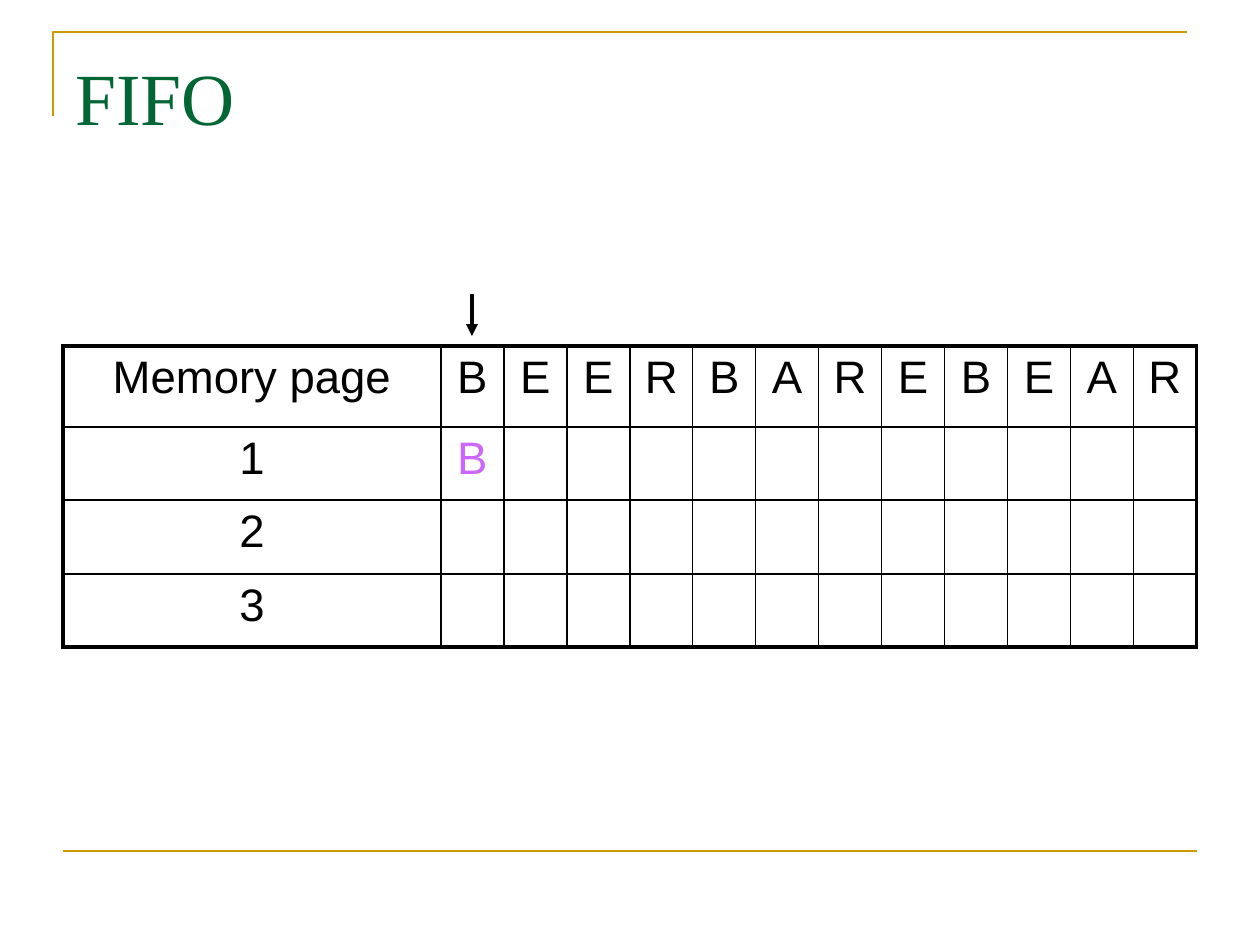
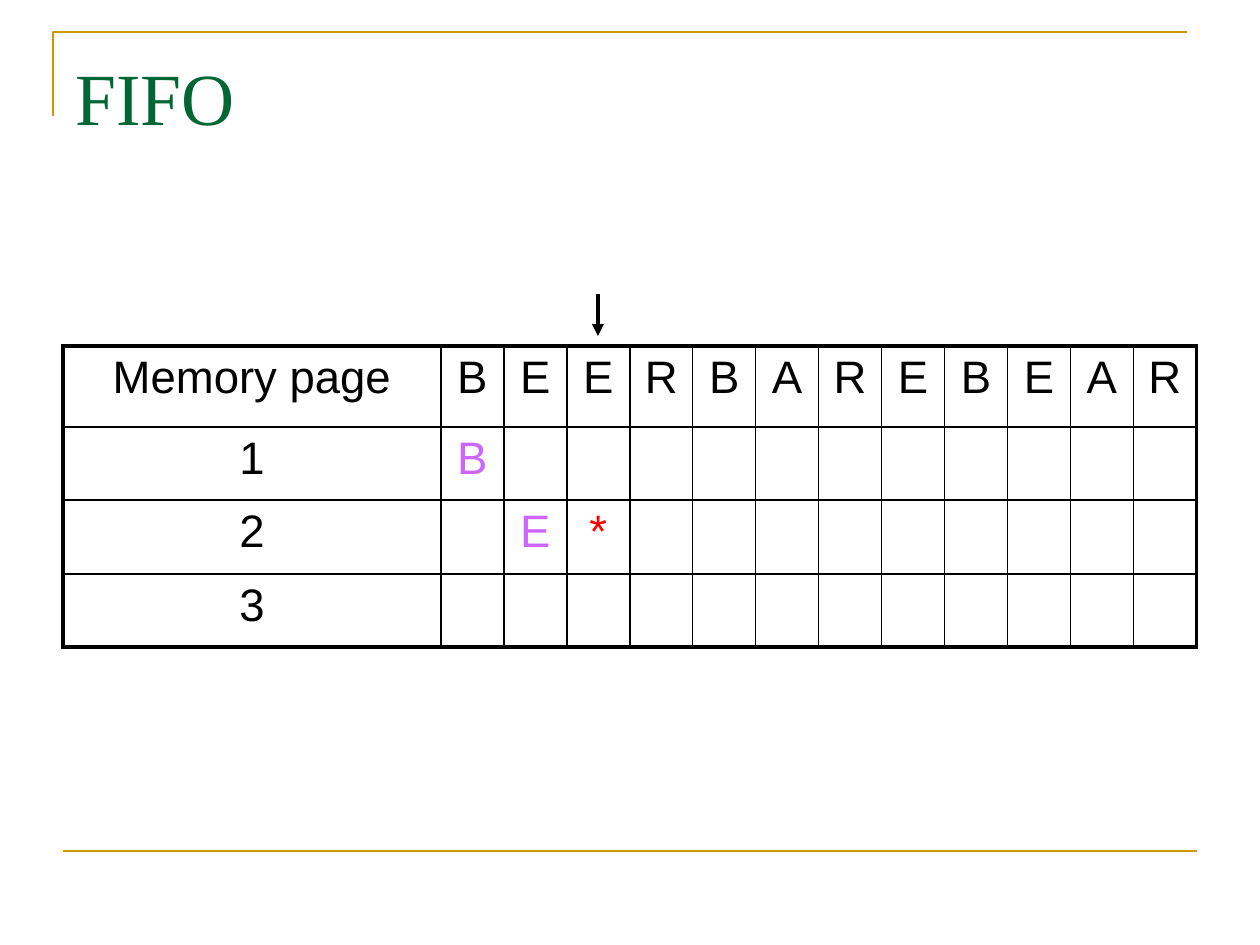
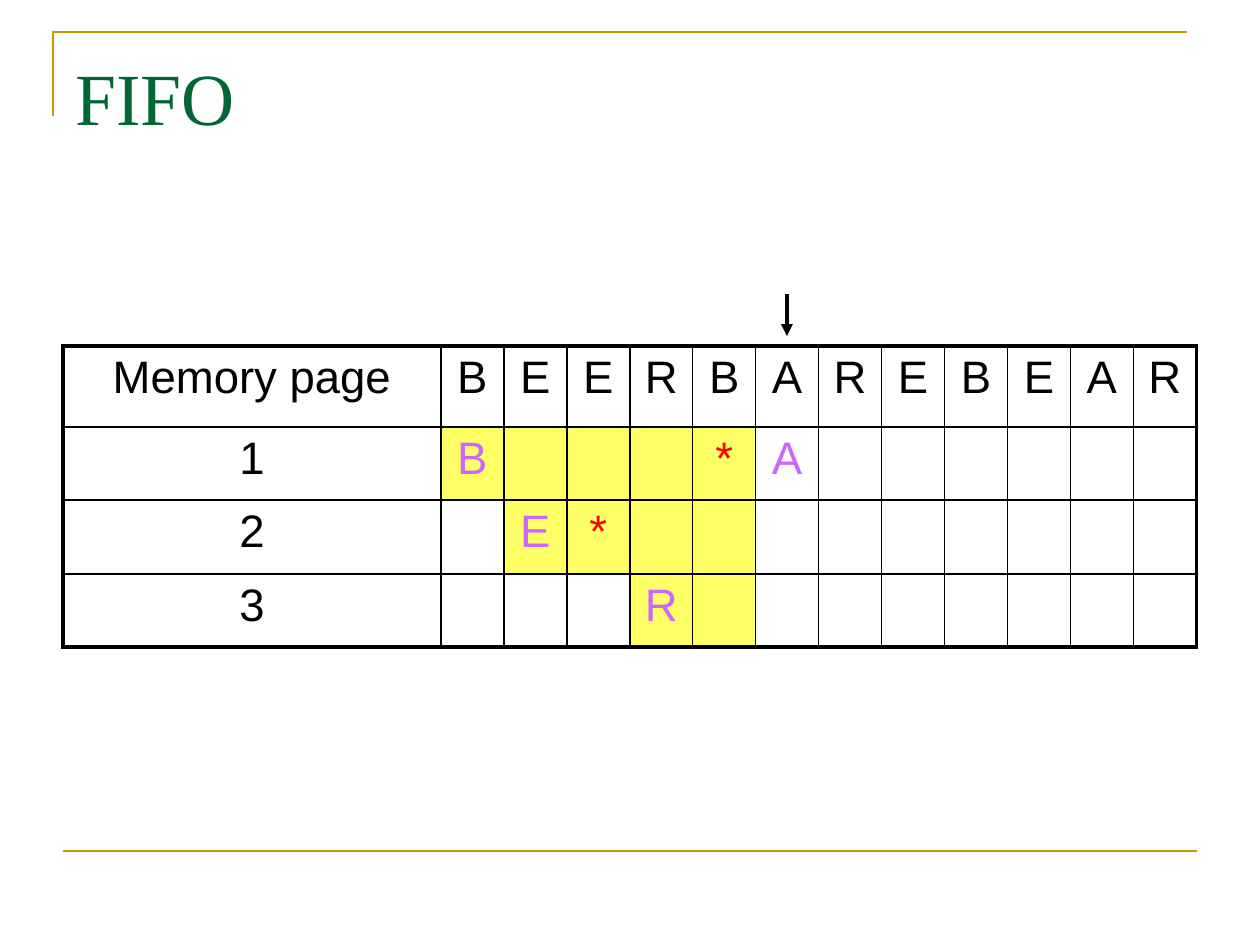
from dataclasses import dataclass

import pptx
import pptx.dml.color
import pptx.enum.shapes
import pptx.enum.text
import pptx.oxml
import pptx.oxml.ns
import pptx.util

PX = 914400 // 126
GOLD, GREEN, BLACK = "CC9900", "006633", "000000"
VIOLET, RED, YELLOW = "CC66FF", "FF0000", "FFFF66"
TITLE_FONT, TABLE_FONT = "Times New Roman", "Arial"
THIN, THICK = 1, 2.25
TITLE_ONLY = 5

REQUESTS = "BEERBAREBEAR"
TABLE_LEFT, TABLE_TOP = 63, 346
LABEL_WIDTH, REQUEST_WIDTH = 378, 63
ROW_HEIGHTS = (81, 73, 74, 73)
ARROW_TOP, ARROW_BOTTOM = 294, 336
EMPTY, HIT = ".", "*"


@dataclass(frozen=True)
class Step:
    current: int
    frames: tuple[str, str, str]
    resident: tuple[range, ...] = (range(0), range(0), range(0))


STEPS = (
    Step(0, ("B", "", "")),
    Step(2, ("B", ".E*", "")),
    Step(5, ("B...*A", ".E*", "...R"), (range(0, 5), range(1, 5), range(3, 5))),
)


def px(length: int) -> pptx.util.Emu:
    return pptx.util.Emu(length * PX)


def color(value: str) -> pptx.dml.color.RGBColor:
    return pptx.dml.color.RGBColor.from_string(value)


def style_line(shape, value: str, width: float) -> None:
    shape.line.color.rgb = color(value)
    shape.line.width = pptx.util.Pt(width)


def add_line(page, start: tuple[int, int], end: tuple[int, int], value: str, width: float):
    line = page.shapes.add_connector(
        pptx.enum.shapes.MSO_CONNECTOR.STRAIGHT, *map(px, start + end)
    )
    style_line(line, value, width)
    pptx.oxml.ns.qn("a:effectLst")
    line._element.spPr.append(
        pptx.oxml.parse_xml(f'<a:effectLst {pptx.oxml.ns.nsdecls("a")}/>')
    )
    return line


def add_frame(page) -> None:
    builder = page.shapes.build_freeform(px(53), px(116))
    builder.add_line_segments([(px(53), px(32)), (px(1187), px(32))], close=False)
    corner = builder.convert_to_shape()
    corner.fill.background()
    corner.shadow.inherit = False
    style_line(corner, GOLD, 1.5)
    add_line(page, (63, 851), (1197, 851), GOLD, 1.5)


def set_title(page, text: str) -> None:
    title = page.shapes.title
    title.left, title.top, title.width, title.height = map(px, (63, 38, 1134, 158))
    box = title.text_frame
    box.text = text
    box.auto_size = pptx.enum.text.MSO_AUTO_SIZE.NONE
    box.vertical_anchor = pptx.enum.text.MSO_ANCHOR.TOP
    box.margin_top = px(14)
    para = box.paragraphs[0]
    para.alignment = pptx.enum.text.PP_ALIGN.LEFT
    para.font.name = TITLE_FONT
    para.font.size = pptx.util.Pt(42)
    para.font.color.rgb = color(GREEN)


def set_borders(cell, row: int, column: int) -> None:
    outer_sides = {
        "L": column == 0,
        "R": column == len(REQUESTS),
        "T": row == 0,
        "B": row == len(ROW_HEIGHTS) - 1,
    }
    properties = cell._tc.get_or_add_tcPr()
    for side, outer in outer_sides.items():
        width = pptx.util.Pt(THICK if outer else THIN)
        properties.append(pptx.oxml.parse_xml(
            f'<a:ln{side} {pptx.oxml.ns.nsdecls("a")} w="{width}"><a:solidFill>'
            f'<a:srgbClr val="{BLACK}"/></a:solidFill></a:ln{side}>'
        ))


def set_text(cell, text: str, value: str) -> None:
    para = cell.text_frame.paragraphs[0]
    para.text = text
    para.alignment = pptx.enum.text.PP_ALIGN.CENTER
    para.font.name = TABLE_FONT
    para.font.size = pptx.util.Pt(26)
    para.font.color.rgb = color(value)


def cell_text(step: Step, row: int, column: int) -> tuple[str, str]:
    if column == 0:
        return (str(row) if row else "Memory page"), BLACK
    if row == 0:
        return REQUESTS[column - 1], BLACK
    mark = step.frames[row - 1].ljust(len(REQUESTS), EMPTY)[column - 1]
    if mark == EMPTY:
        return "", BLACK
    return mark, RED if mark == HIT else VIOLET


def add_memory_table(page, step: Step) -> None:
    widths = (LABEL_WIDTH, *[REQUEST_WIDTH] * len(REQUESTS))
    table = page.shapes.add_table(
        len(ROW_HEIGHTS), len(widths),
        *map(px, (TABLE_LEFT, TABLE_TOP, sum(widths), sum(ROW_HEIGHTS))),
    ).table
    table.first_row = table.horz_banding = False
    for table_column, width in zip(table.columns, widths):
        table_column.width = px(width)
    for row, height in enumerate(ROW_HEIGHTS):
        table.rows[row].height = px(height)
        for column in range(len(widths)):
            cell = table.cell(row, column)
            set_borders(cell, row, column)
            if row and column - 1 in step.resident[row - 1]:
                cell.fill.solid()
                cell.fill.fore_color.rgb = color(YELLOW)
            else:
                cell.fill.background()
            set_text(cell, *cell_text(step, row, column))


def add_request_arrow(page, current: int) -> None:
    center = TABLE_LEFT + LABEL_WIDTH + REQUEST_WIDTH * current + REQUEST_WIDTH // 2
    arrow = add_line(page, (center, ARROW_TOP), (center, ARROW_BOTTOM), BLACK, THICK)
    arrow.line._get_or_add_ln().append(
        pptx.oxml.parse_xml(f'<a:tailEnd {pptx.oxml.ns.nsdecls("a")} type="triangle"/>')
    )


def main() -> None:
    deck = pptx.Presentation()
    deck.slide_width, deck.slide_height = px(1260), px(945)
    for step in STEPS:
        page = deck.slides.add_slide(deck.slide_layouts[TITLE_ONLY])
        add_frame(page)
        set_title(page, "FIFO")
        add_memory_table(page, step)
        add_request_arrow(page, step.current)
    deck.save("out.pptx")


if __name__ == "__main__":
    main()
